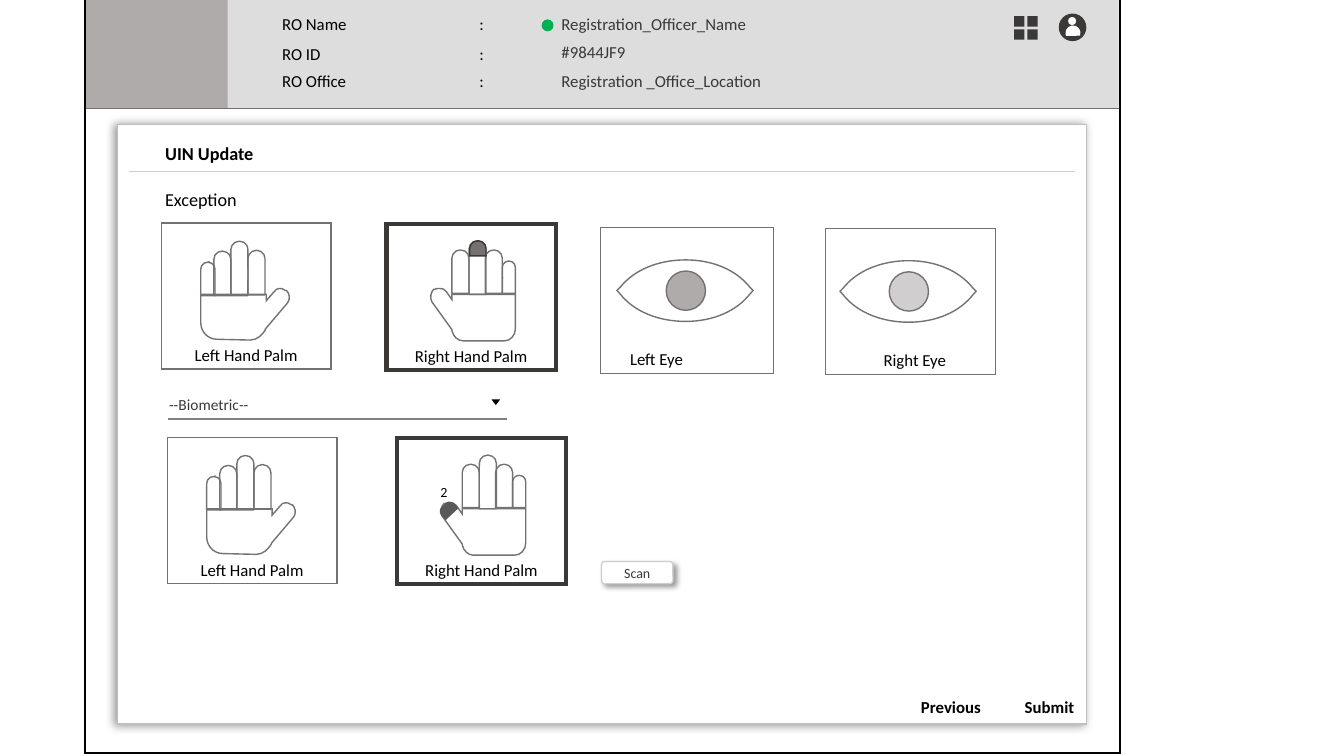
from dataclasses import dataclass

from lxml.etree import SubElement
from pptx import Presentation
from pptx.dml.color import RGBColor
from pptx.enum.shapes import MSO_CONNECTOR, MSO_SHAPE as SHAPE
from pptx.enum.text import MSO_ANCHOR as ANCHOR, MSO_AUTO_SIZE as FIT, PP_ALIGN as ALIGN
from pptx.oxml.ns import qn
from pptx.util import Cm, Pt


@dataclass(frozen=True)
class Theme:
    font: str = "Calibri"
    black: str = "000000"
    white: str = "FFFFFF"
    dark: str = "3B3838"
    thumb: str = "595959"
    outline: str = "767171"
    rule: str = "808080"
    logo: str = "AFABAB"
    frame: str = "BFBFBF"
    pale: str = "D0CECE"
    header: str = "DDDDDD"
    online: str = "00B050"
    heading: float = 13
    body: float = 12
    field: float = 11
    small: float = 10


T = Theme()

# Outlines in cm: pairs are straight steps, sixes are Bézier curves.
LEFT_PALM = [
    (2.97, 1.65), (3.02, 1.65, 3.07, 1.65, 3.12, 1.7), (3.15, 1.7),
    (3.23, 1.78, 3.25, 1.91, 3.18, 2.01), (2.62, 2.67), (2.62, 2.69),
    (2.54, 2.82, 2.41, 2.95, 2.24, 2.95), (1.4, 2.93),
    (1.17, 2.93, 0.99, 2.74, 0.99, 2.51), (0.99, 1.8), (2.64, 1.8),
    (2.64, 1.96), (2.84, 1.73), (2.87, 1.68, 2.92, 1.65, 2.97, 1.65)]
RIGHT_PALM = [
    (1.35, 1.63), (1.4, 1.63, 1.47, 1.65, 1.5, 1.7), (1.65, 1.91),
    (1.65, 1.78), (3.25, 1.78), (3.25, 2.64),
    (3.25, 2.82, 3.12, 2.95, 2.97, 2.95), (1.93, 2.95),
    (1.8, 2.95, 1.68, 2.84, 1.65, 2.69), (1.65, 2.67),
    (1.65, 2.67), (1.63, 2.64, 1.63, 2.64, 1.63, 2.64), (1.14, 1.96),
    (1.09, 1.85, 1.12, 1.73, 1.19, 1.65), (1.22, 1.65),
    (1.24, 1.63, 1.3, 1.63, 1.35, 1.63)]
EYELIDS = [
    (1.73, 0), (2.41, 0, 3, 0.25, 3.35, 0.69), (3.43, 0.77), (3.35, 0.86),
    (3, 1.3, 2.41, 1.55, 1.73, 1.55), (1.04, 1.55, 0.43, 1.3, 0.08, 0.86),
    (0, 0.77), (0.08, 0.69), (0.43, 0.25, 1.04, 0, 1.73, 0)]
LEFT_FINGERS = [(1.32, 0.71, 0.43, 1.12), (1.75, 0.46, 0.43, 1.37),
                (2.18, 0.69, 0.43, 1.12), (0.99, 0.99, 0.36, 0.84)]
RIGHT_FINGERS = [(1.65, 0.66, 0.43, 1.09), (2.08, 0.43, 0.43, 1.35),
                 (2.49, 0.66, 0.43, 1.09), (2.92, 0.94, 0.33, 0.81)]


def rgb(color):
    return RGBColor.from_string(color)


def paint(sp, fill=None, line=None, weight=1):
    sp.shadow.inherit = False
    if fill:
        sp.fill.solid()
        sp.fill.fore_color.rgb = rgb(fill)
    else:
        sp.fill.background()
    if line:
        sp.line.color.rgb = rgb(line)
        sp.line.width = Pt(weight)
        SubElement(sp._element.spPr.find(qn("a:ln")), qn("a:miter"), lim="800000")
    else:
        sp.line.fill.background()


def add_box(shapes, kind, x, y, w, h, adj=(), rot=0, **look):
    sp = shapes.add_shape(kind, Cm(x), Cm(y), Cm(w), Cm(h))
    for i, value in enumerate(adj):
        sp.adjustments[i] = value
    sp.rotation = rot
    paint(sp, **look)
    return sp


def add_rule(shapes, x1, x2, y, color, weight):
    cn = shapes.add_connector(MSO_CONNECTOR.STRAIGHT, Cm(x1), Cm(y), Cm(x2), Cm(y))
    cn.line.color.rgb = rgb(color)
    cn.line.width = Pt(weight)
    SubElement(cn._element.spPr, qn("a:effectLst"))


def add_outline(shapes, x, y, steps):
    """Draw a closed outline, then bend the straight steps that are curves."""
    ends = [(Cm(x + step[-2]), Cm(y + step[-1])) for step in steps]
    fb = shapes.build_freeform(*ends[0])
    fb.add_line_segments(ends[1:], close=True)
    sp = fb.convert_to_shape()
    segments = list(sp._element.iter(qn("a:lnTo")))
    for segment, step in zip(segments, steps[1:]):
        if len(step) == 6:
            segment.tag = qn("a:cubicBezTo")
            segment.clear()
            for px, py in zip(step[::2], step[1::2]):
                SubElement(segment, qn("a:pt"), x=str(Cm(x + px) - sp.left),
                           y=str(Cm(y + py) - sp.top))
    paint(sp, line=T.outline)


def add_shadow(sp, color, alpha, blur, dist, angle):
    effects = sp._element.spPr.find(qn("a:effectLst"))
    shadow = SubElement(effects, qn("a:outerShdw"), blurRad=str(Pt(blur)),
                        dist=str(Pt(dist)), dir=str(angle * 60000),
                        algn="ctr", rotWithShape="0")
    clr = SubElement(shadow, qn("a:srgbClr"), val=color)
    SubElement(clr, qn("a:alpha"), val=str(alpha * 1000))


def write(sp, text, size=T.body, color=T.black, bold=False, align=ALIGN.LEFT,
          anchor=ANCHOR.TOP, wrap=True, fit=FIT.SHAPE_TO_FIT_TEXT, indent=0):
    tf = sp.text_frame
    tf.word_wrap, tf.auto_size, tf.vertical_anchor = wrap, fit, anchor
    p = tf.paragraphs[0]
    p.alignment = align
    pPr = p._p.get_or_add_pPr()
    pPr.set("marL", str(Cm(indent)))
    pPr.set("defTabSz", str(Cm(2.54)))
    r = p.add_run()
    r.text = text
    r.font.name, r.font.size, r.font.bold = T.font, Pt(size), bold
    r.font.color.rgb = rgb(color)


def add_text(shapes, text, x, y, w, h=0.76, **fmt):
    write(shapes.add_textbox(Cm(x), Cm(y), Cm(w), Cm(h)), text, **fmt)


def add_hand(slide, caption, x, y, fingers, palm, **look):
    shapes = slide.shapes.add_group_shape().shapes
    for fx, fy, w, h in fingers:
        add_box(shapes, SHAPE.ROUND_2_SAME_RECTANGLE, x + fx, y + fy, w, h,
                adj=(0.48, 0.03), line=T.outline)
    add_outline(shapes, x, y, palm)
    add_box(shapes, SHAPE.FLOWCHART_PROCESS, x, y, 4.27, 3.68, **look)
    add_text(shapes, caption, x, y + 2.95, 4.27, align=ALIGN.CENTER)


def add_hand_pair(slide, left, right):
    add_hand(slide, "Left Hand Palm", *left, LEFT_FINGERS, LEFT_PALM, line=T.outline)
    add_hand(slide, "Right Hand Palm", *right, RIGHT_FINGERS, RIGHT_PALM,
             line=T.dark, weight=3)


def add_eye(slide, caption, x, y, w, eye_x, caption_x, iris, weight):
    add_box(slide.shapes, SHAPE.FLOWCHART_PROCESS, x, y, w, 3.68,
            line=T.outline, weight=weight)
    add_text(slide.shapes, caption, caption_x, y + 2.94, 4.27, align=ALIGN.CENTER)
    shapes = slide.shapes.add_group_shape().shapes
    add_outline(shapes, eye_x, y + 0.82, EYELIDS)
    add_box(shapes, SHAPE.OVAL, eye_x + 1.24, y + 1.1, 0.99, 0.99,
            fill=iris, line=T.outline)


def add_header(slide):
    shapes = slide.shapes.add_group_shape().shapes
    add_box(shapes, SHAPE.RECTANGLE, 2.18, -0.03, 26.01, 2.77, fill=T.header)
    add_box(shapes, SHAPE.RECTANGLE, 2.17, -0.05, 3.57, 2.77, fill=T.logo)
    add_rule(shapes, 2.16, 28.23, 2.74, T.outline, 0.5)
    for label, value, label_y, value_y in (
            ("RO Name", "Registration_Officer_Name", 0.23, 0.23),
            ("RO ID", "#9844JF9", 0.97, 0.92),
            ("RO Office", "Registration _Office_Location", 1.65, 1.65)):
        add_text(shapes, f"{label}\t\t:", 6.71, label_y, 5.77, wrap=False, indent=0.15)
        add_text(shapes, value, 13.75, value_y, 5.85, wrap=False, indent=0.15, color=T.dark)
    add_box(shapes, SHAPE.OVAL, 26.7, 0.36, 0.66, 0.66, fill=T.dark, line=T.dark)
    add_box(shapes, SHAPE.OVAL, 26.92, 0.43, 0.2, 0.2, fill=T.white)
    add_box(shapes, SHAPE.CHORD, 26.85, 0.64, 0.38, 0.38, rot=111.5, fill=T.white)
    for n in range(4):
        add_box(shapes, SHAPE.RECTANGLE, 25.56 + n % 2 * 0.33, 0.41 + n // 2 * 0.33,
                0.26, 0.26, fill=T.dark)
    add_box(slide.shapes, SHAPE.OVAL, 13.65, 0.49, 0.3, 0.3, fill=T.online)


def add_panel(slide):
    shapes = slide.shapes
    panel = add_box(shapes, SHAPE.ROUNDED_RECTANGLE, 2.96, 3.14, 24.42, 15.1,
                    adj=(0,), fill=T.white, line=T.frame)
    add_shadow(panel, T.rule, 80, 6, 2, 170)
    add_box(shapes, SHAPE.RECTANGLE, 2.14, -0.05, 26.09, 19.03, line=T.black)
    add_rule(shapes, 3.25, 27.1, 4.32, T.pale, 0.5)
    for text, x, w in (("Previous", 22.95, 2.03), ("Submit", 25.56, 1.78)):
        add_text(shapes, text, x, 17.44, w, bold=True, wrap=False, align=ALIGN.CENTER)


def place_title(slide, text):
    title = slide.shapes.title
    title.left, title.top, title.width, title.height = Cm(3.91), Cm(3.45), Cm(5.66), Cm(0.81)
    write(title, text, size=T.heading, bold=True)
    slide.shapes._spTree.append(title._element)


def add_biometric_field(slide):
    shapes = slide.shapes
    add_text(shapes, "--Biometric--", 4.01, 9.82, 2.54, 0.74, size=T.field,
             color=T.dark, wrap=False)
    add_box(shapes, SHAPE.ISOSCELES_TRIANGLE, 12.42, 10.08, 0.15, 0.1, rot=180,
            fill=T.black, line=T.black)
    add_rule(shapes, 4.24, 12.78, 10.56, T.rule, 1)


def main():
    prs = Presentation()
    prs.slide_width, prs.slide_height = Cm(33.87), Cm(19.05)
    slide = prs.slides.add_slide(prs.slide_layouts[5])
    shapes = slide.shapes
    add_header(slide)
    add_panel(slide)
    place_title(slide, "UIN Update")
    add_text(shapes, "Exception", 3.91, 4.62, 5.66, 0.81, size=T.heading)
    add_hand_pair(slide, (4.07, 5.62), (9.74, 5.64))
    add_box(shapes, SHAPE.ROUND_2_SAME_RECTANGLE, 11.84, 6.07, 0.41, 0.38,
            adj=(0.5, 0), fill=T.outline, line=T.dark)
    add_eye(slide, "Left Eye", 15.14, 5.73, 4.36, 15.55, 14.41, T.logo, 1)
    add_eye(slide, "Right Eye", 20.8, 5.75, 4.28, 21.17, 20.92, T.pale, 0.75)
    add_biometric_field(slide)
    add_hand_pair(slide, (4.22, 11.02), (10, 11.04))
    add_text(shapes, "2", 10.85, 12.07, 0.66, 0.69, size=T.small)
    add_box(shapes, SHAPE.ROUND_2_SAME_RECTANGLE, 11.08, 12.7, 0.41, 0.28,
            adj=(0.5, 0), rot=317.1, fill=T.thumb, line=T.thumb)
    scan = add_box(shapes, SHAPE.ROUNDED_RECTANGLE, 15.16, 14.15, 1.8, 0.56,
                   adj=(0.14,), fill=T.white, line=T.pale)
    add_shadow(scan, T.black, 40, 4, 3, 45)
    write(scan, "Scan", size=T.small, color=T.dark, align=ALIGN.CENTER,
          anchor=ANCHOR.MIDDLE, fit=FIT.NONE)
    prs.save("out.pptx")


if __name__ == "__main__":
    main()
